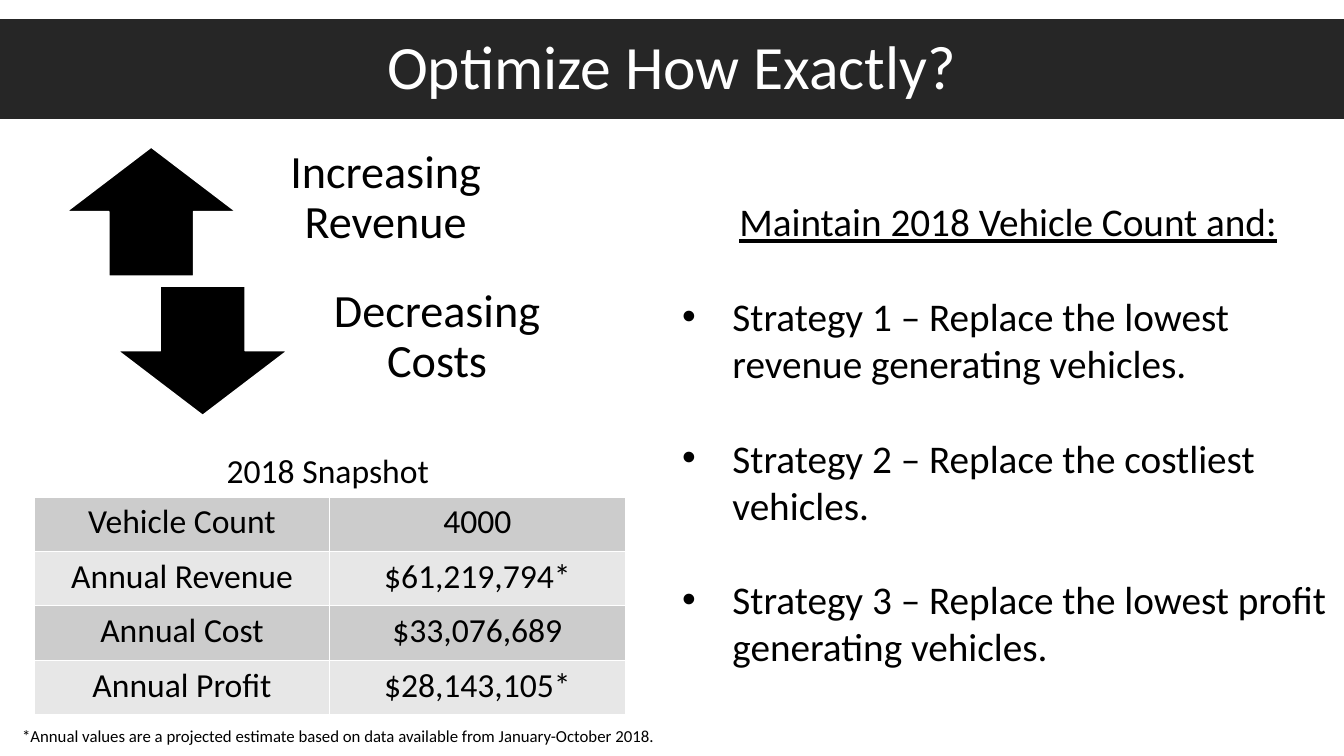
"""Build the slide on how to optimize a vehicle fleet."""
from pptx import Presentation
from pptx.dml.color import RGBColor
from pptx.enum.shapes import MSO_SHAPE as Preset
from pptx.enum.text import MSO_ANCHOR as Anchor, MSO_AUTO_SIZE as AutoSize, PP_ALIGN as Align
from pptx.oxml.xmlchemy import OxmlElement
from pptx.util import Inches, Pt

TITLE = "Optimize How Exactly?"
GOALS = [("Increasing Revenue", Preset.UP_ARROW), ("Decreasing Costs", Preset.DOWN_ARROW)]
HEADING = "Maintain 2018 Vehicle Count and:"
STRATEGIES = [
    "Strategy 1 – Replace the lowest revenue generating vehicles.",
    "Strategy 2 – Replace the costliest vehicles.",
    "Strategy 3 – Replace the lowest profit generating vehicles.",
]
SNAPSHOT_TITLE = "2018 Snapshot"
SNAPSHOT = [
    ("Vehicle Count", "4000"),
    ("Annual Revenue", "$61,219,794*"),
    ("Annual Cost", "$33,076,689"),
    ("Annual Profit", "$28,143,105*"),
]
FOOTNOTE = ("*Annual values are a projected estimate based on data available "
            "from January-October 2018.")

BLACK = RGBColor(0x00, 0x00, 0x00)
WHITE = RGBColor(0xFF, 0xFF, 0xFF)
CHARCOAL = RGBColor(0x26, 0x26, 0x26)
BANDS = [RGBColor(0xCC, 0xCC, 0xCC), RGBColor(0xE7, 0xE7, 0xE7)]

WIDTH, HEIGHT = 13.33, 7.5
ARROW_WIDTH, GOAL_HEIGHT, LABEL_WIDTH = 1.68, 1.28, 2.85
GOAL_LEFT, GOAL_TOP, GOAL_SHIFT, GOAL_STEP = 0.66, 1.46, 0.51, 1.38
LABEL_GAP = 0.06
TABLE_LEFT, TABLE_TOP, COLUMN_WIDTH, ROW_HEIGHT = 0.34, 4.93, 2.93, 0.54
BLANK_LINE = 34


def place(shape, left, top, width, height):
    """Move and size a shape, in inches."""
    frame = dict(left=left, top=top, width=width, height=height)
    for name, value in frame.items():
        setattr(shape, name, Inches(value))


def write(para, text, size, color=BLACK, underline=None, **layout):
    """Add one formatted span to a paragraph."""
    for name, value in layout.items():
        setattr(para, name, value)
    span = para.add_run()
    span.text = text
    span.font.color.rgb = color
    look = dict(name="Calibri", size=Pt(size), underline=underline)
    for name, value in look.items():
        setattr(span.font, name, value)


def add_text(page, area, text, size, wrap=False, insets=None, anchor=Anchor.TOP, **layout):
    """Add a text box holding one paragraph."""
    box = page.shapes.add_textbox(*map(Inches, area))
    frame = box.text_frame
    frame.word_wrap = wrap
    frame.vertical_anchor = anchor
    for side, value in (insets or {}).items():
        setattr(frame, f"margin_{side}", Inches(value))
    write(frame.paragraphs[0], text, size, **layout)


def set_bullet(para, indent, bullet=None):
    """Give a paragraph a hanging bullet, or none."""
    props = para._p.get_or_add_pPr()
    props.set("marL", str(Inches(indent)))
    props.set("indent", str(-Inches(indent)))
    mark = OxmlElement("a:buChar" if bullet else "a:buNone")
    if bullet:
        mark.set("char", bullet)
    props.append(mark)


def add_title(page):
    """Fill the title band."""
    title = page.shapes.title
    place(title, 0, 0.19, WIDTH, 0.99)
    title.fill.solid()
    title.fill.fore_color.rgb = CHARCOAL
    title.text_frame.vertical_anchor = Anchor.MIDDLE
    write(title.text_frame.paragraphs[0], TITLE, 44, WHITE,
          alignment=Align.CENTER, line_spacing=0.9)


def add_goals(page):
    """Draw the stepped arrows and their labels."""
    insets = dict(left=0.26, top=0, right=0.26, bottom=0.26)
    for index, (text, preset) in enumerate(GOALS):
        left = GOAL_LEFT + index * GOAL_SHIFT
        top = GOAL_TOP + index * GOAL_STEP
        arrow = page.shapes.add_shape(
            preset, *map(Inches, (left, top, ARROW_WIDTH, GOAL_HEIGHT)))
        arrow.shadow.inherit = False
        arrow.fill.solid()
        arrow.fill.fore_color.rgb = BLACK
        arrow.line.color.rgb = WHITE
        arrow.line.width = Pt(1)
        area = (left + ARROW_WIDTH + LABEL_GAP, top, LABEL_WIDTH, GOAL_HEIGHT)
        add_text(page, area, text, 33, True, insets, Anchor.MIDDLE,
                 alignment=Align.CENTER, line_spacing=0.9)


def add_strategies(page):
    """Fill the body with the heading and the bulleted strategies."""
    body = page.placeholders[1]
    place(body, WIDTH / 2, 1.91, WIDTH / 2, 4.81)
    frame = body.text_frame
    frame.auto_size = AutoSize.NONE
    heading = frame.paragraphs[0]
    write(heading, HEADING, 28, underline=True, alignment=Align.CENTER, space_before=Pt(0))
    set_bullet(heading, 0)
    for strategy in STRATEGIES:
        para = frame.add_paragraph()
        write(para, strategy, 28, space_before=Pt(BLANK_LINE))
        set_bullet(para, 0.5, "•")


def add_snapshot(page):
    """Add the banded table with its caption and footnote."""
    rows, columns = len(SNAPSHOT), len(SNAPSHOT[0])
    area = (TABLE_LEFT, TABLE_TOP, columns * COLUMN_WIDTH, rows * ROW_HEIGHT)
    table = page.shapes.add_table(rows, columns, *map(Inches, area)).table
    table.first_row = table.horz_banding = False
    for row, values in enumerate(SNAPSHOT):
        for column, value in enumerate(values):
            cell = table.cell(row, column)
            cell.fill.solid()
            cell.fill.fore_color.rgb = BANDS[row % len(BANDS)]
            write(cell.text_frame.paragraphs[0], value, 24, alignment=Align.CENTER)
    add_text(page, (2.15, 4.41, 2.22, 0.5), SNAPSHOT_TITLE, 24)
    add_text(page, (0.12, 7.15, 6.55, 0.3), FOOTNOTE, 12)


def main():
    """Build and save the deck."""
    deck = Presentation()
    deck.slide_width, deck.slide_height = Inches(WIDTH), Inches(HEIGHT)
    page = deck.slides.add_slide(deck.slide_layouts[1])
    add_title(page)
    add_goals(page)
    add_strategies(page)
    add_snapshot(page)
    deck.save("out.pptx")


if __name__ == "__main__":
    main()
